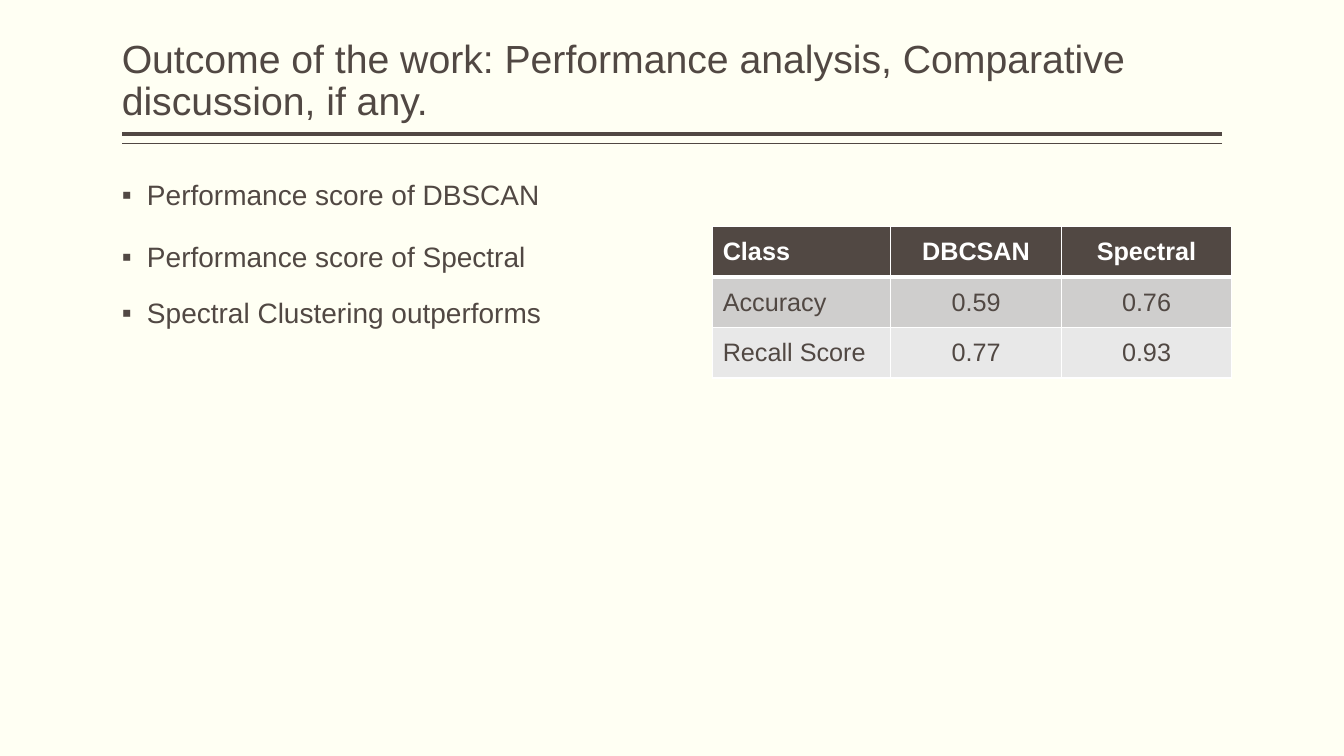
from dataclasses import dataclass

from lxml.etree import SubElement as Sub
from pptx import Presentation
from pptx.dml.color import RGBColor as RGB
from pptx.enum.shapes import MSO_CONNECTOR as Link
from pptx.enum.text import MSO_ANCHOR as Anchor, PP_ALIGN as Align
from pptx.oxml.ns import qn
from pptx.util import Inches, Pt

CELL = Inches(1) // 12  # the slide is a grid of 160 columns by 90 rows


@dataclass
class Theme:
    """Colours, font and type sizes."""
    paper: str = "FFFFF3"
    ink: str = "514843"
    white: str = "FFFFFF"
    bands: tuple = ("CFCECD", "E8E8E8")
    font: str = "Arial"
    title: int = 28
    body: int = 20
    table: int = 18


def grid(*cells):
    """Turn grid counts into lengths."""
    return [round(n * CELL) for n in cells]


class Deck:
    """Holds the style and the current slide."""

    def __init__(self, theme):
        """Open a deck with one blank slide."""
        self.theme = theme
        self.file = Presentation()
        self.file.slide_width, self.file.slide_height = grid(160, 90)
        self.slide = self.file.slides.add_slide(self.file.slide_layouts[6])
        fill = self.slide.background.fill
        fill.solid()
        fill.fore_color.rgb = RGB.from_string(theme.paper)

    def run(self, para, text, size, color, bold=False):
        """Add one styled run."""
        run = para.add_run()
        run.text = text
        font = run.font
        font.name, font.size, font.bold = self.theme.font, Pt(size), bold
        font.color.rgb = RGB.from_string(color)

    def rule(self, left, top, width, weight):
        """Draw a horizontal rule."""
        x, y, end = grid(left, top, left + width)
        line = self.slide.shapes.add_connector(Link.STRAIGHT, end, y, x, y)
        line.line.width = Pt(weight)
        line.line.color.rgb = RGB.from_string(self.theme.ink)
        Sub(line._element.spPr, qn("a:effectLst"))

    def text(self, box, items, size, anchor=Anchor.TOP, mark=None):
        """Add a text box from (text, space before) pairs."""
        frame = self.slide.shapes.add_textbox(*grid(*box)).text_frame
        frame.word_wrap = True
        frame.vertical_anchor = anchor
        frame.margin_left = frame.margin_right = 0
        for i, (text, gap) in enumerate(items):
            para = frame.add_paragraph() if i else frame.paragraphs[0]
            para.line_spacing = 0.9
            para.space_before = Pt(gap)
            if mark:
                self.bullet(para, mark)
            self.run(para, text, size, self.theme.ink)

    def bullet(self, para, mark):
        """Give a paragraph a hanging bullet."""
        props = para._p.get_or_add_pPr()
        props.set("marL", str(Inches(0.25)))
        props.set("indent", str(-Inches(0.25)))
        color = Sub(props, qn("a:buClr"))
        Sub(color, qn("a:srgbClr"), val=self.theme.ink)
        Sub(props, qn("a:buFont"), typeface=self.theme.font)
        Sub(props, qn("a:buChar"), char=mark)

    def border(self, cell, widths):
        """Line a cell's left, right, top and bottom edges."""
        props = cell._tc.get_or_add_tcPr()
        for side, width in zip("LRTB", widths):
            line = Sub(props, qn("a:ln" + side), w=str(Pt(width)))
            fill = Sub(line, qn("a:solidFill"))
            Sub(fill, qn("a:srgbClr"), val=self.theme.white)

    def table(self, left, top, widths, height, rows):
        """Add a table with a dark head and banded rows."""
        look = self.theme
        box = grid(left, top, sum(widths), height * len(rows))
        table = self.slide.shapes.add_table(len(rows), len(widths), *box).table
        for col, width in zip(table.columns, grid(*widths)):
            col.width = width
        for r, row in enumerate(rows):
            table.rows[r].height = grid(height)[0]
            head = r == 0
            back = look.ink if head else look.bands[(r - 1) % 2]
            color = look.white if head else look.ink
            for c, text in enumerate(row):
                cell = table.cell(r, c)
                cell.vertical_anchor = Anchor.MIDDLE
                self.border(cell, (1, 1, 3 if r == 1 else 1, 3 if head else 1))
                cell.fill.solid()
                cell.fill.fore_color.rgb = RGB.from_string(back)
                para = cell.text_frame.paragraphs[0]
                para.alignment = Align.CENTER if c else Align.LEFT
                self.run(para, text, look.table, color, head)


def main():
    """Build and save the slide."""
    look = Theme()
    deck = Deck(look)
    left, width = 14.5, 131
    for top, weight in ((16, 3), (17.1, 1)):
        deck.rule(left, top, width, weight)
    title = ("Outcome of the work: Performance analysis, "
             "Comparative discussion, if any.")
    deck.text((left, 1, width, 14.4), [(title, 0)], look.title, Anchor.BOTTOM)
    points = [("Performance score of DBSCAN", 0),
              ("Performance score of Spectral", 23),
              ("Spectral Clustering outperforms", 18)]
    deck.text((left, 21, 64.5, 60), points, look.body, mark="▪")
    scores = [("Class", "DBCSAN", "Spectral"),
              ("Accuracy", "0.59", "0.76"),
              ("Recall Score", "0.77", "0.93")]
    deck.table(84.85, 27, (21.2, 20.3, 20.3), 6, scores)
    deck.file.save("out.pptx")


main()
